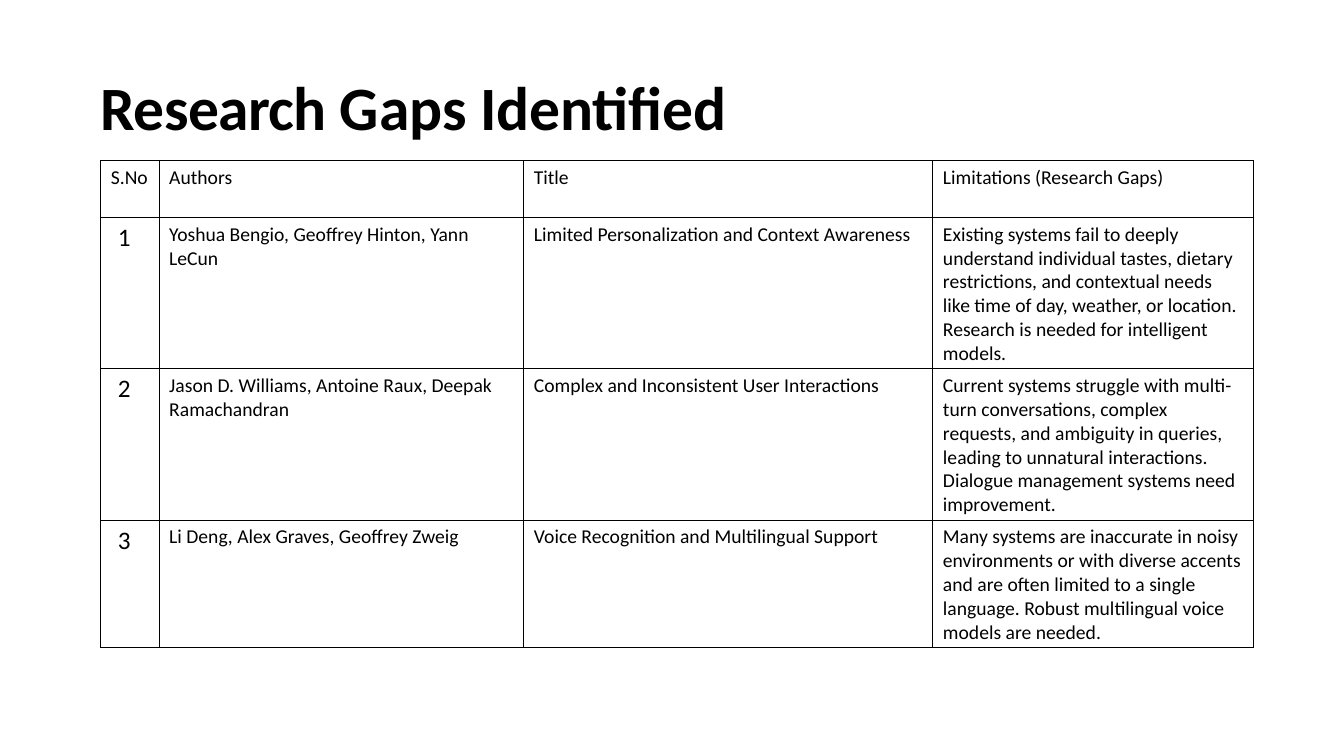
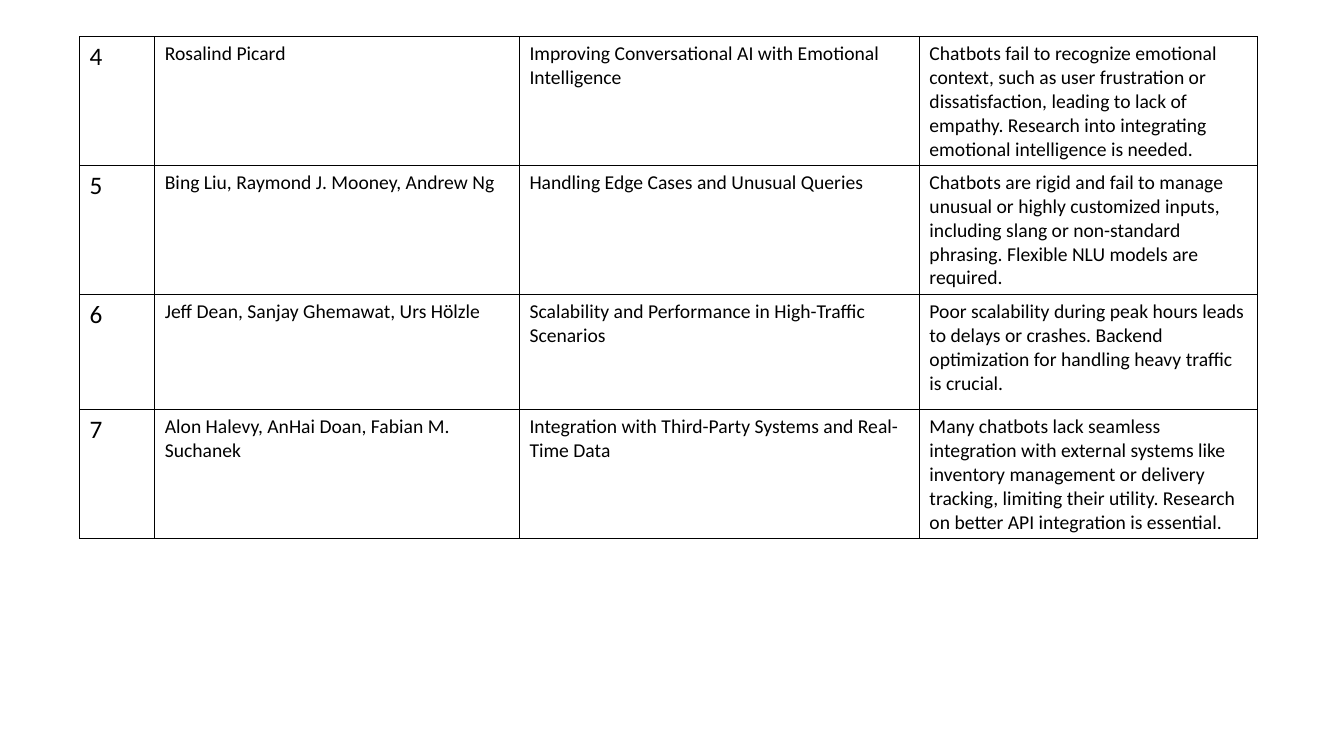
from dataclasses import dataclass

from lxml import etree
from pptx import Presentation
from pptx.dml.color import RGBColor
from pptx.enum import text
from pptx.oxml import ns
from pptx.util import Cm, Pt

TITLE = [("Research ", -0.5), ("Gaps ", 0), ("Identified", -0.2)]

TABLES = [
    {
        "left": 2.54, "top": 4.04, "number_margin": 0.43,
        "columns": [1.47, 9.19, 10.31, 8.08],
        "heights": [1.44, 3.8, 3.8, 3.22],
        "rows": [
            ("S.No", "Authors", "Title", "Limitations (Research Gaps)"),
            ("1", "Yoshua Bengio, Geoffrey Hinton, Yann LeCun",
             "Limited Personalization and Context Awareness",
             "Existing systems fail to deeply understand individual tastes, dietary "
             "restrictions, and contextual needs like time of day, weather, or location. "
             "Research is needed for intelligent models."),
            ("2", "Jason D. Williams, Antoine Raux, Deepak Ramachandran",
             "Complex and Inconsistent User Interactions",
             "Current systems struggle with multi-turn conversations, complex requests, "
             "and ambiguity in queries, leading to unnatural interactions. "
             "Dialogue management systems need improvement."),
            ("3", "Li Deng, Alex Graves, Geoffrey Zweig",
             "Voice Recognition and Multilingual Support",
             "Many systems are inaccurate in noisy environments or with diverse accents "
             "and are often limited to a single language. "
             "Robust multilingual voice models are needed."),
        ],
    },
    {
        "left": 2.01, "top": 0.93, "number_margin": 0.25,
        "columns": [1.89, 9.19, 10.08, 8.51],
        "heights": [3.25, 3.25, 2.9, 3.25],
        "rows": [
            ("4", "Rosalind Picard",
             "Improving Conversational AI with Emotional Intelligence",
             "Chatbots fail to recognize emotional context, such as user frustration or "
             "dissatisfaction, leading to lack of empathy. "
             "Research into integrating emotional intelligence is needed."),
            ("5", "Bing Liu, Raymond J. Mooney, Andrew Ng",
             "Handling Edge Cases and Unusual Queries",
             "Chatbots are rigid and fail to manage unusual or highly customized inputs, "
             "including slang or non-standard phrasing. "
             "Flexible NLU models are required."),
            ("6", "Jeff Dean, Sanjay Ghemawat, Urs Hölzle",
             "Scalability and Performance in High-Traffic Scenarios",
             "Poor scalability during peak hours leads to delays or crashes. "
             "Backend optimization for handling heavy traffic is crucial."),
            ("7", "Alon Halevy, AnHai Doan, Fabian M. Suchanek",
             "Integration with Third-Party Systems and Real-Time Data",
             "Many chatbots lack seamless integration with external systems like "
             "inventory management or delivery tracking, limiting their utility. "
             "Research on better API integration is essential."),
        ],
    },
]


@dataclass(frozen=True)
class Theme:
    font: str = "Calibri"
    ink: str = "000000"
    title_size: int = 44
    number_size: int = 18
    body_size: int = 14
    border: float = 0.75


THEME = Theme()


def add_text(para, words, size=THEME.body_size, bold=False, spacing=0):
    span = para.add_run()
    span.text = words
    span.font.name = THEME.font
    span.font.size = Pt(size)
    span.font.bold = bold
    span.font.color.rgb = RGBColor.from_string(THEME.ink)
    if spacing:
        span.font._element.set("spc", str(round(spacing * 100)))


def add_borders(cell):
    properties = cell._tc.get_or_add_tcPr()
    for side in ("lnL", "lnR", "lnT", "lnB"):
        line = etree.SubElement(properties, ns.qn(f"a:{side}"), w=str(Pt(THEME.border)))
        fill = etree.SubElement(line, ns.qn("a:solidFill"))
        etree.SubElement(fill, ns.qn("a:srgbClr"), val=THEME.ink)


def add_title(page):
    box = page.shapes.add_textbox(Cm(2.54), Cm(0.76), Cm(24.84), Cm(2.95))
    frame = box.text_frame
    frame.word_wrap = True
    frame.vertical_anchor = text.MSO_ANCHOR.TOP
    frame.margin_left = frame.margin_right = frame.margin_bottom = 0
    frame.margin_top = Cm(0.97)
    para = frame.paragraphs[0]
    para.space_before = Pt(1.3)
    for words, spacing in TITLE:
        add_text(para, words, size=THEME.title_size, bold=True, spacing=spacing)


def add_gap_table(page, content):
    rows, columns, heights = content["rows"], content["columns"], content["heights"]
    table = page.shapes.add_table(
        len(rows), len(columns), Cm(content["left"]), Cm(content["top"]),
        Cm(sum(columns)), Cm(sum(heights))).table
    table.first_row = table.horz_banding = False
    for column, width in zip(table.columns, columns):
        column.width = Cm(width)
    for row, height, entries in zip(table.rows, heights, rows):
        row.height = Cm(height)
        for cell, words in zip(row.cells, entries):
            add_borders(cell)
            cell.fill.background()
            is_number = words.isdigit()
            if is_number:
                cell.margin_left = Cm(content["number_margin"])
            add_text(cell.text_frame.paragraphs[0], words,
                     size=THEME.number_size if is_number else THEME.body_size)


def main():
    deck = Presentation()
    deck.slide_width, deck.slide_height = Cm(33.87), Cm(19.05)
    blank = deck.slide_layouts[6]
    pages = [deck.slides.add_slide(blank) for _ in TABLES]
    add_title(pages[0])
    for page, content in zip(pages, TABLES):
        add_gap_table(page, content)
    deck.save("out.pptx")


if __name__ == "__main__":
    main()
